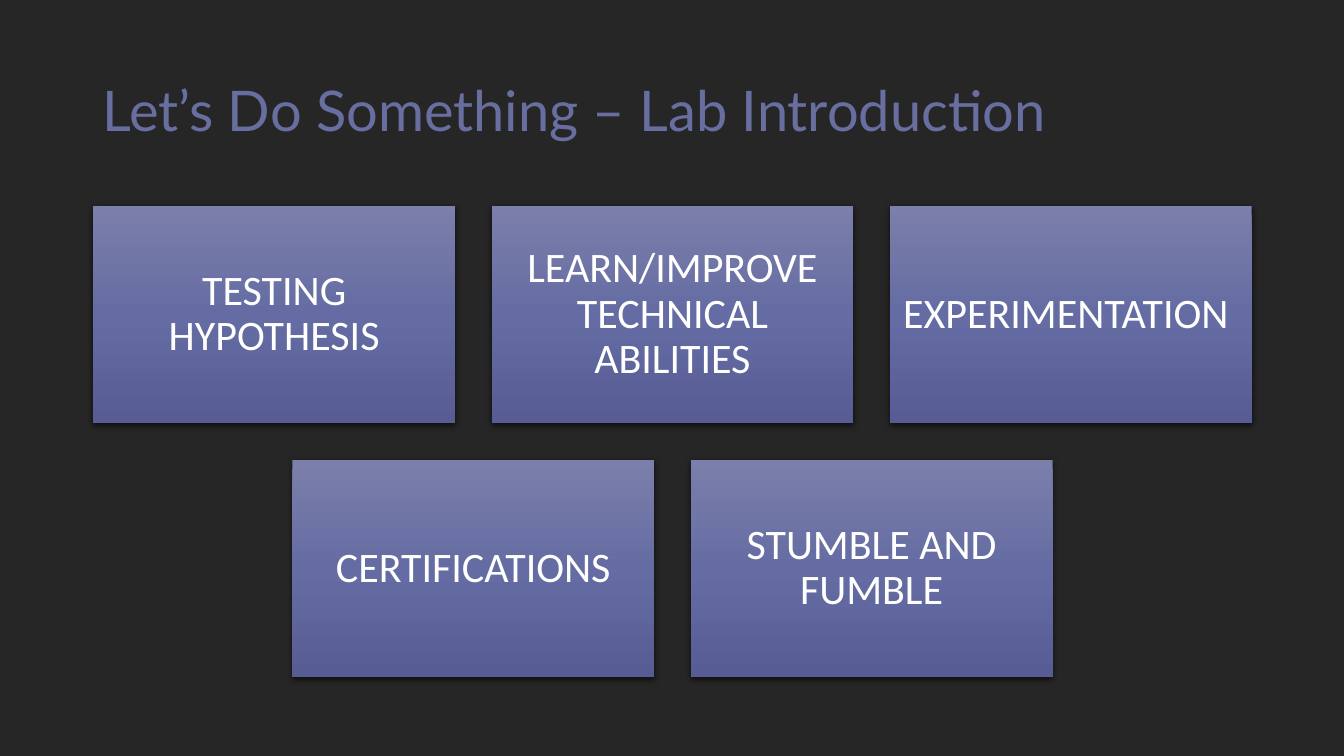
from copy import deepcopy

from lxml import etree
from pptx import Presentation
from pptx.dml.color import RGBColor
from pptx.enum.shapes import MSO_SHAPE as Shape
from pptx.enum.text import MSO_ANCHOR as Anchor, PP_ALIGN as Align
from pptx.oxml import parse_xml
from pptx.oxml.ns import nsdecls, qn
from pptx.util import Inches, Pt

TITLE = "Let’s Do Something – Lab Introduction"
ROWS = [
    ["Testing hypothesis", "Learn/improve technical abilities", "Experimentation "],
    ["Certifications", "Stumble and fumble"],
]
TILE_WIDTH, TILE_HEIGHT, GAP = 3.59, 2.16, 0.36
TILE_STOPS = [(0, "7B7FAA"), (0.5, "656CA3"), (1, "575D94")]


def color(value):
    return RGBColor.from_string(value)


def write_text(shape, text, font, size, ink, align):
    frame = shape.text_frame
    frame.text = text
    frame.word_wrap = True
    frame.vertical_anchor = Anchor.MIDDLE
    para = frame.paragraphs[0]
    para.alignment = align
    para.line_spacing = 0.9
    span = para.runs[0]
    span.font.name = font
    span.font.size = Pt(size)
    span.font.color.rgb = color(ink)
    return span


def fill_gradient(shape, stops):
    shape.fill.gradient()
    shape.fill.gradient_angle = 270
    # The default gradient has two stops; add the middle one
    stop_list = shape._element.spPr.find(".//" + qn("a:gsLst"))
    stop_list.append(deepcopy(stop_list[0]))
    for stop, (position, value) in zip(shape.fill.gradient_stops, stops):
        stop.position = position
        stop.color.rgb = color(value)


def add_shadow(shape):
    shape.shadow.inherit = False
    effects = shape._element.spPr.find(qn("a:effectLst"))
    effects.append(parse_xml(
        f'<a:outerShdw {nsdecls("a")} blurRad="57150" dist="19050" dir="5400000"'
        ' algn="ctr" rotWithShape="0"><a:srgbClr val="000000">'
        '<a:alpha val="63000"/></a:srgbClr></a:outerShdw>'))


def add_title(page, left, top, width, height):
    box = page.shapes.add_textbox(Inches(left), Inches(top), Inches(width), Inches(height))
    write_text(box, TITLE, "Lato", 40, "686EA0", Align.LEFT)


def add_tile(page, text, left, top):
    tile = page.shapes.add_shape(Shape.RECTANGLE, Inches(left), Inches(top),
                                 Inches(TILE_WIDTH), Inches(TILE_HEIGHT))
    fill_gradient(tile, TILE_STOPS)
    tile.line.fill.background()
    add_shadow(tile)
    frame = tile.text_frame
    frame.margin_left = frame.margin_right = Inches(0.12)
    frame.margin_top = frame.margin_bottom = Inches(0.12)
    span = write_text(tile, text, "Calibri", 30, "FFFFFF", Align.CENTER)
    span.font._element.set("cap", "all")


def add_tiles(page, left, top, width):
    # Each row is centred in the box
    for row, labels in enumerate(ROWS):
        row_width = len(labels) * (TILE_WIDTH + GAP) - GAP
        start = left + (width - row_width) / 2
        for column, label in enumerate(labels):
            add_tile(page, label, start + column * (TILE_WIDTH + GAP),
                     top + row * (TILE_HEIGHT + GAP))


def main():
    deck = Presentation()
    deck.slide_width, deck.slide_height = Inches(13.33), Inches(7.5)
    page = deck.slides.add_slide(deck.slide_layouts[6])
    page.background.fill.solid()
    page.background.fill.fore_color.rgb = color("262626")
    add_title(page, 0.92, 0.4, 11.5, 1.45)
    add_tiles(page, 0.92, 2.04, 11.5)
    deck.save("out.pptx")


if __name__ == "__main__":
    main()
